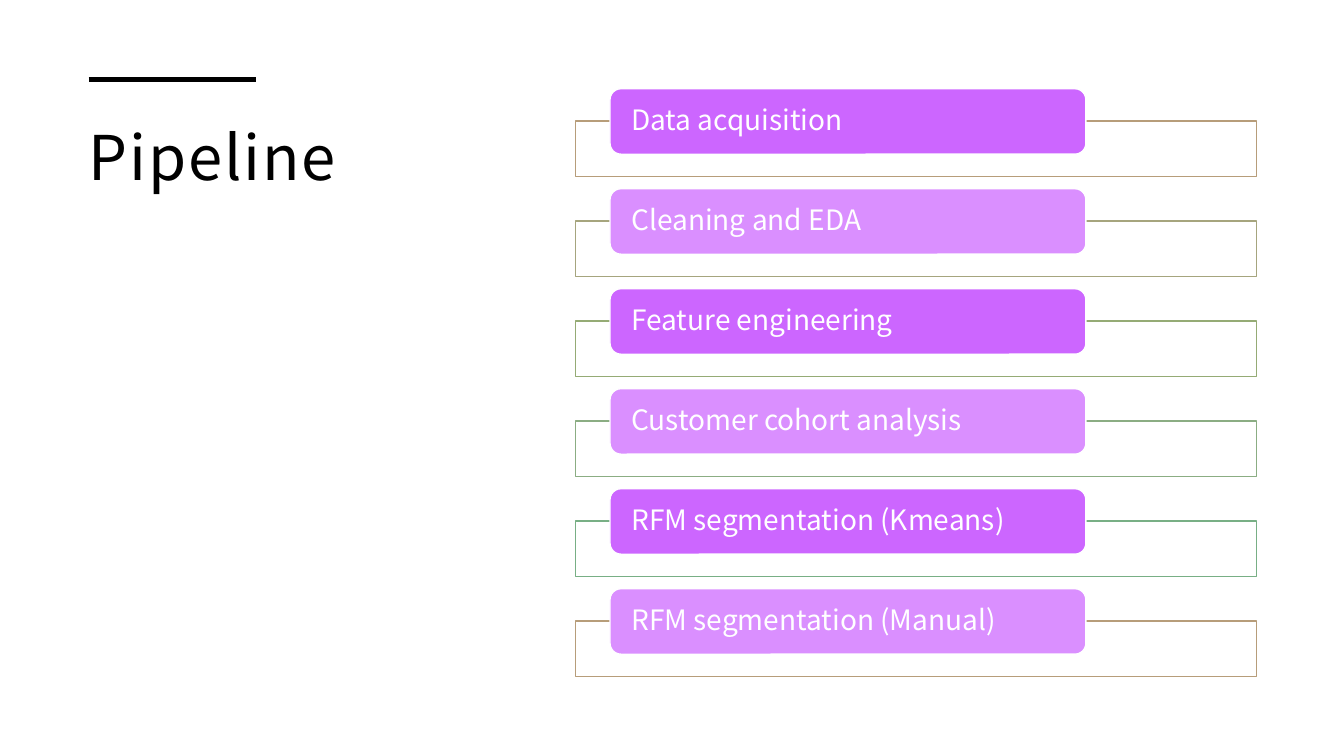
from dataclasses import dataclass

from lxml.etree import SubElement
from pptx import Presentation
from pptx.dml.color import RGBColor
from pptx.enum.shapes import MSO_CONNECTOR, MSO_SHAPE
from pptx.enum.text import MSO_ANCHOR, PP_ALIGN
from pptx.oxml.ns import qn
from pptx.shapes.autoshape import Shape
from pptx.slide import Slide
from pptx.text.text import TextFrame
from pptx.util import Inches, Pt


@dataclass(frozen=True)
class Theme:
    """Colours, font and sizes used on the slide."""
    font: str = "Noto Sans CJK JP"
    ink: str = "000000"
    paper: str = "FFFFFF"
    strong: str = "CC66FF"
    soft: str = "DA8FFF"
    title_size: float = 44
    stage_size: float = 20
    rule_width: float = 3.5
    outline_width: float = 1


@dataclass(frozen=True)
class Stage:
    """One step of the pipeline and the outline colour of its frame."""
    label: str
    outline: str


THEME = Theme()
STAGES = [
    Stage("Data acquisition", "B79D7A"),
    Stage("Cleaning and EDA", "A6A57E"),
    Stage("Feature engineering", "95AB75"),
    Stage("Customer cohort analysis", "8BAD83"),
    Stage("RFM segmentation (Kmeans)", "78AF85"),
    Stage("RFM segmentation (Manual)", "B79D7A"),
]
FIRST_TAB_TOP = 0.88
STAGE_PITCH = 0.992
FRAME_DROP = 0.32


def write(frame: TextFrame, text: str, size: float, color: str,
          line_spacing: float) -> None:
    """Fill a text frame with one left-aligned line of styled text."""
    frame.word_wrap = True
    frame.text = text
    line = frame.paragraphs[0]
    line.alignment = PP_ALIGN.LEFT
    line.line_spacing = line_spacing
    font = line.runs[0].font
    font.name = THEME.font
    font.size = Pt(size)
    font.color.rgb = RGBColor.from_string(color)


def add_box(slide: Slide, kind: MSO_SHAPE, left: float, top: float,
            width: float, height: float, fill: str, outline: str) -> Shape:
    """Add a filled and outlined preset shape without a shadow."""
    box = slide.shapes.add_shape(
        kind, Inches(left), Inches(top), Inches(width), Inches(height))
    box.shadow.inherit = False
    box.fill.solid()
    box.fill.fore_color.rgb = RGBColor.from_string(fill)
    box.line.color.rgb = RGBColor.from_string(outline)
    box.line.width = Pt(THEME.outline_width)
    return box


def add_title(slide: Slide, text: str) -> None:
    """Add the heading and the thick rule above it."""
    heading = slide.shapes.add_textbox(
        Inches(0.76), Inches(0.99), Inches(4.28), Inches(4.35))
    frame = heading.text_frame
    frame.margin_left = frame.margin_right = frame.margin_top = Inches(0.12)
    frame.margin_bottom = Inches(0.1)
    write(frame, text, THEME.title_size, THEME.ink, 1.1)
    frame.paragraphs[0].runs[0].font._element.set("spc", "130")

    rule = slide.shapes.add_connector(
        MSO_CONNECTOR.STRAIGHT,
        Inches(0.88), Inches(0.79), Inches(2.54), Inches(0.79))
    rule.line.color.rgb = RGBColor.from_string(THEME.ink)
    rule.line.width = Pt(THEME.rule_width)
    SubElement(rule._element.spPr, qn("a:effectLst"))


def add_stage(slide: Slide, stage: Stage, top: float, fill: str) -> None:
    """Add a stage: a translucent frame with a labelled tab over it."""
    frame = add_box(slide, MSO_SHAPE.RECTANGLE, 5.71, top + FRAME_DROP,
                    6.75, 0.55, THEME.paper, stage.outline)
    frame_color = frame._element.spPr.find(qn("a:solidFill"))[0]
    SubElement(frame_color, qn("a:alpha")).set("val", "90000")

    tab = add_box(slide, MSO_SHAPE.ROUNDED_RECTANGLE, 6.05, top,
                  4.72, 0.65, fill, THEME.paper)
    label = tab.text_frame
    label.vertical_anchor = MSO_ANCHOR.MIDDLE
    label.margin_left = label.margin_right = Inches(0.18)
    label.margin_top = label.margin_bottom = 0
    write(label, stage.label, THEME.stage_size, THEME.paper, 0.9)


def main() -> None:
    """Build the pipeline slide and save it."""
    deck = Presentation()
    deck.slide_width, deck.slide_height = Inches(13.33), Inches(7.5)
    slide = deck.slides.add_slide(deck.slide_layouts[6])
    add_title(slide, "Pipeline")
    tab_fills = (THEME.strong, THEME.soft)
    for index, stage in enumerate(STAGES):
        add_stage(slide, stage, FIRST_TAB_TOP + index * STAGE_PITCH,
                  tab_fills[index % 2])
    deck.save("out.pptx")


main()
